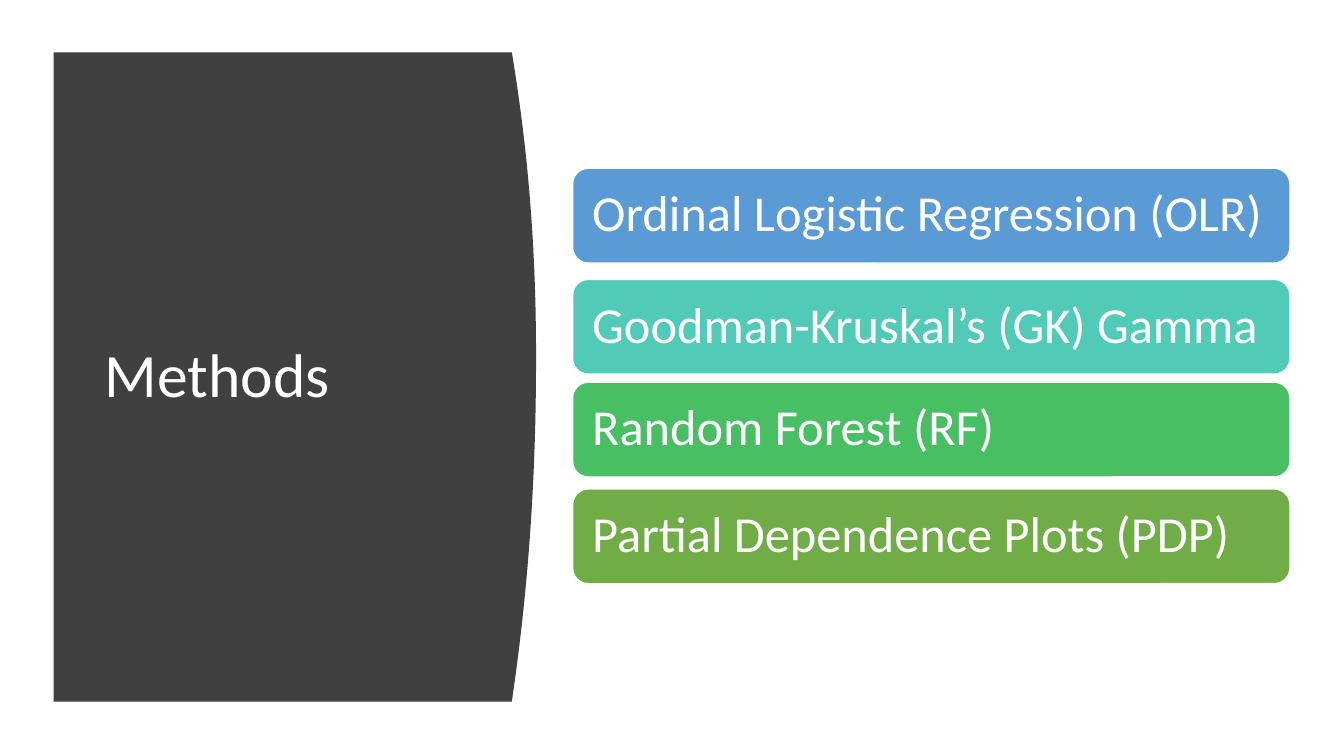
from pptx import Presentation
from pptx.dml.color import RGBColor
from pptx.enum.shapes import MSO_SHAPE
from pptx.enum.text import MSO_ANCHOR, MSO_AUTO_SIZE, PP_ALIGN
from pptx.util import Cm, Pt

WHITE = RGBColor(0xFF, 0xFF, 0xFF)
CHARCOAL = RGBColor(0x40, 0x40, 0x40)
BLUE = RGBColor(0x5B, 0x9B, 0xD5)
TEAL = RGBColor(0x52, 0xCA, 0xB8)
GREEN = RGBColor(0x49, 0xBF, 0x64)
OLIVE = RGBColor(0x70, 0xAD, 0x47)

METHODS = [
    ("Ordinal Logistic Regression (OLR)", BLUE, 4.24),
    ("Goodman-Kruskal’s (GK) Gamma", TEAL, 7.04),
    ("Random Forest (RF)", GREEN, 9.63),
    ("Partial Dependence Plots (PDP)", OLIVE, 12.32),
]


class SlideBuilder:
    font_name = "Calibri"
    text_color = WHITE

    def __init__(self, presentation):
        self.slide = presentation.slides.add_slide(presentation.slide_layouts[5])

    def set_text(self, shape, text, size):
        frame = shape.text_frame
        frame.text = text
        frame.word_wrap = True
        frame.auto_size = MSO_AUTO_SIZE.NONE
        frame.vertical_anchor = MSO_ANCHOR.MIDDLE
        paragraph = frame.paragraphs[0]
        paragraph.alignment = PP_ALIGN.LEFT
        paragraph.line_spacing = 0.9
        paragraph.font.name = self.font_name
        paragraph.font.size = Pt(size)
        paragraph.font.color.rgb = self.text_color
        return frame

    def title(self, text, left, top, width, height):
        title = self.slide.shapes.title
        title.left, title.top = Cm(left), Cm(top)
        title.width, title.height = Cm(width), Cm(height)
        self.set_text(title, text, 44)

    def curved_panel(self, left, top, edge, bottom, crown_x, crown_y, color):
        steps = 40
        points = []
        for step in range(steps + 1):
            y = top + (bottom - top) * step / steps
            reach = crown_y - top if y < crown_y else bottom - crown_y
            bulge = 1 - (abs(y - crown_y) / reach) ** 2.1
            points.append((Cm(edge + (crown_x - edge) * bulge), Cm(y)))
        points.append((Cm(left), Cm(bottom)))
        builder = self.slide.shapes.build_freeform(Cm(left), Cm(top))
        builder.add_line_segments(points, close=True)
        panel = builder.convert_to_shape()
        panel.shadow.inherit = False
        panel.fill.solid()
        panel.fill.fore_color.rgb = color
        panel.line.fill.background()
        title = self.slide.shapes.title
        panel.element.addnext(title.element)

    def card(self, text, left, top, width, height, color):
        card = self.slide.shapes.add_shape(
            MSO_SHAPE.ROUNDED_RECTANGLE, Cm(left), Cm(top), Cm(width), Cm(height)
        )
        card.shadow.inherit = False
        card.fill.solid()
        card.fill.fore_color.rgb = color
        card.line.color.rgb = WHITE
        card.line.width = Pt(1)
        frame = self.set_text(card, text, 36)
        frame.margin_left = frame.margin_right = Cm(0.38)
        frame.margin_top = frame.margin_bottom = Cm(0.38)


def main():
    presentation = Presentation()
    presentation.slide_width = Cm(33.87)
    presentation.slide_height = Cm(19.05)
    builder = SlideBuilder(presentation)
    builder.curved_panel(1.35, 1.32, 12.9, 17.68, 13.51, 9, CHARCOAL)
    builder.title("Methods", 2.39, 2.82, 9.5, 13.41)
    for text, color, top in METHODS:
        builder.card(text, 14.43, top, 18.08, 2.39, color)
    presentation.save("out.pptx")


if __name__ == "__main__":
    main()
